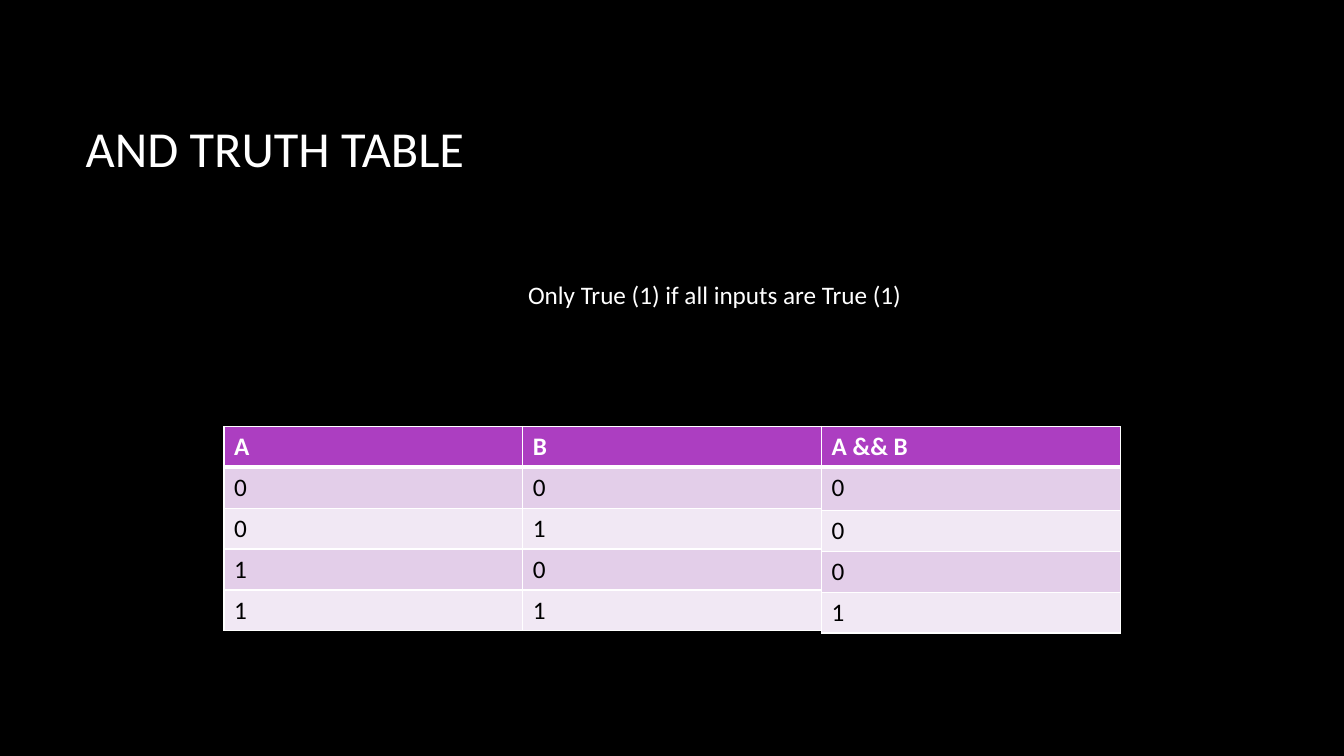
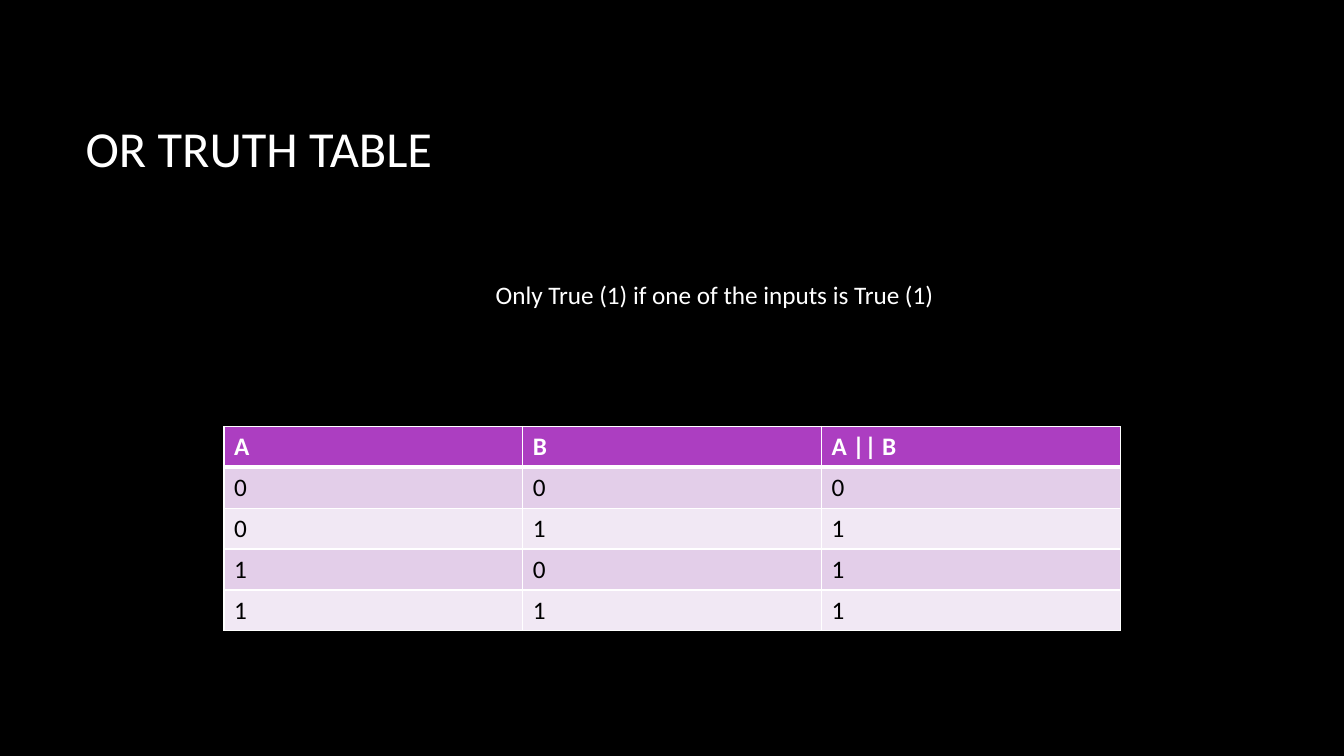
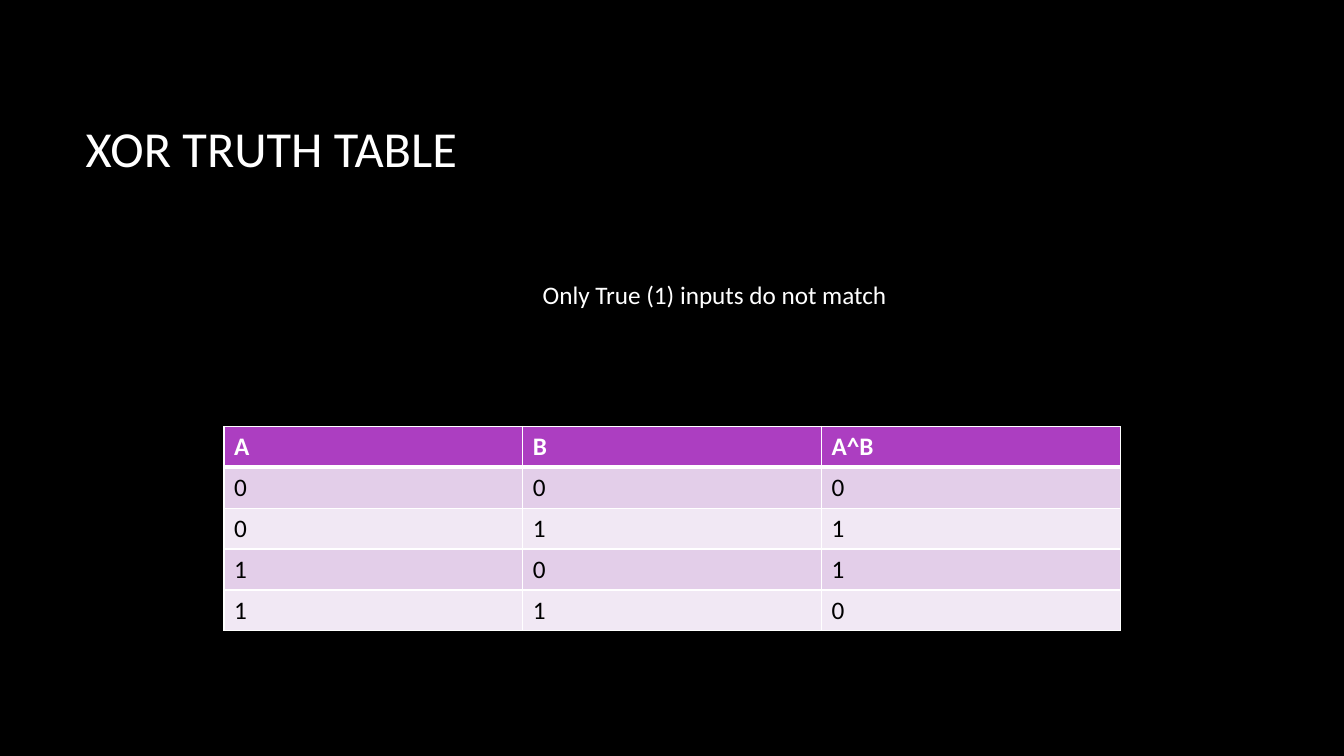
from itertools import product

from lxml import etree
from pptx import Presentation
from pptx.dml.color import RGBColor
from pptx.enum.text import MSO_ANCHOR, MSO_AUTO_SIZE, PP_ALIGN
from pptx.oxml.ns import qn
from pptx.util import Pt

LEFT, CENTER = PP_ALIGN.LEFT, PP_ALIGN.CENTER
MIDDLE = MSO_ANCHOR.MIDDLE
NO_FIT = MSO_AUTO_SIZE.NONE

FONT = "Calibri"
COLORS = {
    "back": "000000",
    "light": "FFFFFF",
    "dark": "000000",
    "head": "AC3EC1",
    "odd": "E3CEE9",
    "even": "F1E8F4",
}
COL, ROW = 213.4, 29.2
GRID_LEFT, GRID_TOP = 160, 304.6


def color(name):
    """Return a named colour."""
    return RGBColor.from_string(COLORS[name])


class Deck:
    """Holds the shared style and the current slide."""

    def __init__(self):
        """Start a wide deck with a plain background."""
        self.prs = Presentation()
        self.prs.slide_width, self.prs.slide_height = Pt(960), Pt(540)
        fill = self.prs.slide_master.background.fill
        fill.solid()
        fill.fore_color.rgb = color("back")

    def add(self):
        """Add a slide with a title and a body."""
        self.slide = self.prs.slides.add_slide(self.prs.slide_layouts[1])

    def run(self, para, text, size, tint, bold=False):
        """Add one styled run to a paragraph."""
        run = para.add_run()
        run.text = text
        font = run.font
        font.name, font.size, font.bold = FONT, Pt(size), bold
        font.color.rgb = color(tint)

    def place(self, shape, box, text, size, align):
        """Move a placeholder and write its text."""
        shape.left, shape.top, shape.width, shape.height = map(Pt, box)
        frame = shape.text_frame
        frame.word_wrap, frame.auto_size = True, NO_FIT
        frame.vertical_anchor = MIDDLE
        para = frame.paragraphs[0]
        para.alignment, para.space_before = align, Pt(0)
        self.run(para, text, size, "light")
        return frame

    def title(self, text):
        """Write the slide title."""
        box = (54, 48.2, 797.8, 114.5)
        self.place(self.slide.shapes.title, box, text, 36, LEFT)

    def rule(self, text):
        """Write the centred rule, without a bullet, above mid-box."""
        box = (301, 157.7, 419, 136)
        frame = self.place(self.slide.placeholders[1], box, text, 18, CENTER)
        frame.margin_bottom = Pt(34)
        props = frame.paragraphs[0]._p.get_or_add_pPr()
        props.set("marL", "0")
        props.set("indent", "0")
        etree.SubElement(props, qn("a:buNone"))

    def edge(self, cell, side, width):
        """Draw one white cell border."""
        line = etree.SubElement(cell._tc.get_or_add_tcPr(), qn("a:ln" + side))
        line.set("w", str(Pt(width)))
        fill = etree.SubElement(line, qn("a:solidFill"))
        etree.SubElement(fill, qn("a:srgbClr")).set("val", COLORS["light"])

    def cell(self, cell, row, text):
        """Style and fill one table cell."""
        head = row == 0
        edges = {"L": 1, "R": 1, "T": 3 if row == 1 else 1, "B": 3 if head else 1}
        for side, width in edges.items():
            self.edge(cell, side, width)
        cell.fill.solid()
        band = "head" if head else "odd" if row % 2 else "even"
        cell.fill.fore_color.rgb = color(band)
        tint = "light" if head else "dark"
        self.run(cell.text_frame.paragraphs[0], text, 18, tint, head)

    def table(self, first, rows, tall=None):
        """Add a table from a grid column on; tall maps rows to heights."""
        heights = [(tall or {}).get(i, ROW) for i in range(len(rows))]
        count = len(rows[0])
        table = self.slide.shapes.add_table(
            len(rows), count, Pt(GRID_LEFT + first * COL), Pt(GRID_TOP),
            Pt(count * COL), Pt(sum(heights))).table
        for col in table.columns:
            col.width = Pt(COL)
        for i, texts in enumerate(rows):
            table.rows[i].height = Pt(heights[i])
            for j, text in enumerate(texts):
                self.cell(table.cell(i, j), i, text)


INPUTS = ["AB", *product("01", repeat=2)]
GATES = [
    ("AND", "Only True (1) if all inputs are True (1)", "A && B", "0001", {1: 30.8}),
    ("OR", "Only True (1) if one of the inputs is True (1)", "A || B", "0111", None),
    ("XOR", "Only True (1) inputs do not match", "A^B", "0110", None),
]

deck = Deck()
for gate, rule, head, results, tall in GATES:
    deck.add()
    deck.title(f"{gate} TRUTH TABLE")
    deck.rule(rule)
    deck.table(0, INPUTS)
    deck.table(2, [[head], *results], tall)
deck.prs.save("out.pptx")
